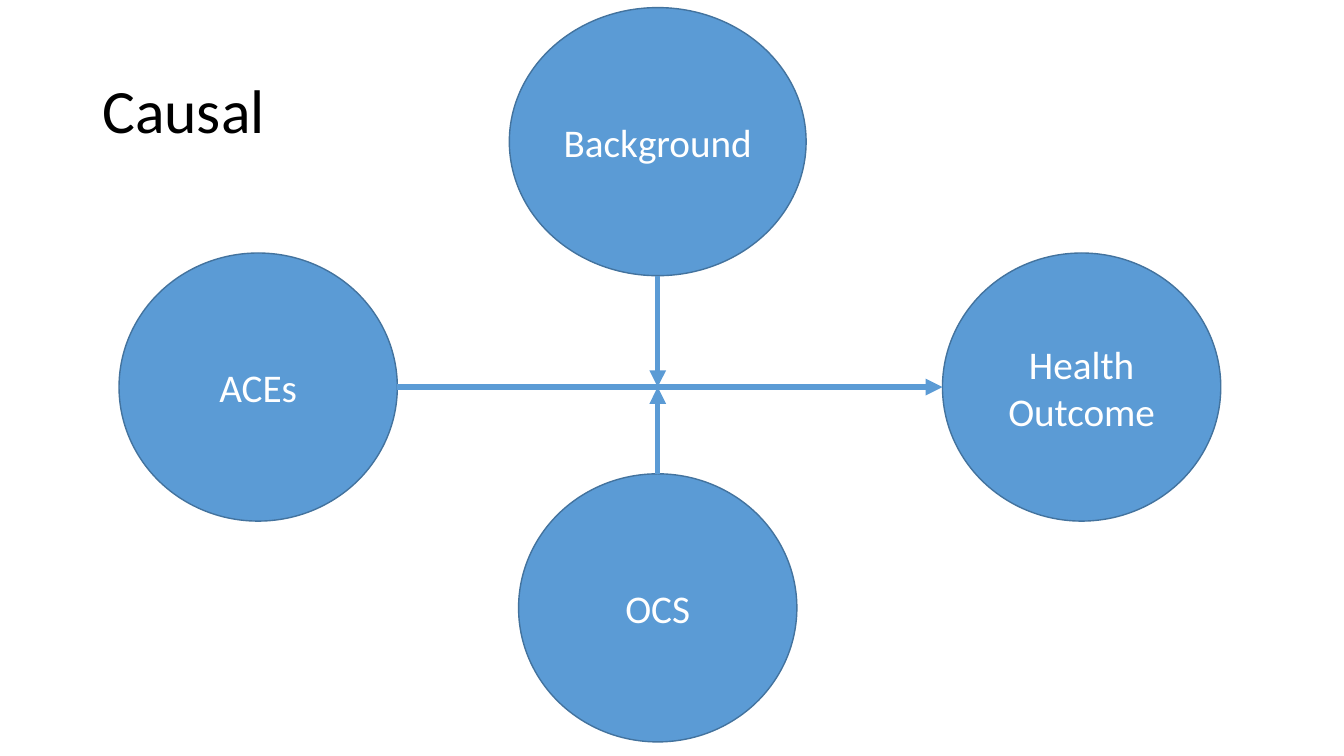
from dataclasses import dataclass

from lxml import etree
from pptx import Presentation
from pptx.dml.color import RGBColor
from pptx.enum.shapes import MSO_CONNECTOR, MSO_SHAPE
from pptx.enum.text import MSO_ANCHOR, PP_ALIGN
from pptx.oxml.ns import qn
from pptx.util import Pt

ELLIPSE = MSO_SHAPE.OVAL
STRAIGHT = MSO_CONNECTOR.STRAIGHT
MIDDLE = MSO_ANCHOR.MIDDLE
LEFT, CENTER = PP_ALIGN.LEFT, PP_ALIGN.CENTER


@dataclass(frozen=True)
class Theme:
    """Colours, font and sizes of the slide."""
    blue: RGBColor = RGBColor(0x5B, 0x9B, 0xD5)
    outline: RGBColor = RGBColor(0x43, 0x73, 0x9E)
    black: RGBColor = RGBColor(0, 0, 0)
    white: RGBColor = RGBColor(255, 255, 255)
    font: str = "Calibri"
    title_size: int = 44
    node_size: int = 28
    outline_width: int = 1
    arrow_width: int = 4


THEME = Theme()
AXIS_X, AXIS_Y = 469.8, 276.5
NODE_WIDTH, NODE_HEIGHT = 198.8, 191.5
WIDE_NODE_WIDTH = 212
ACES_X, OUTCOME_X = 184.4, 772.6
BACKGROUND_Y, OCS_Y = 101.2, 434.2


def write_text(box, text, *, size, color, align, line_spacing=1.0):
    """Fill a shape with one vertically centred, formatted paragraph."""
    frame = box.text_frame
    frame.word_wrap = True
    frame.vertical_anchor = MIDDLE
    para = frame.paragraphs[0]
    para.alignment = align
    para.line_spacing = line_spacing
    span = para.add_run()
    span.text = text
    span.font.name = THEME.font
    span.font.size = Pt(size)
    span.font.color.rgb = color


def add_title(page, text):
    """Add the slide heading."""
    box = page.shapes.add_textbox(Pt(66), Pt(28.75), Pt(828), Pt(104.4))
    write_text(box, text, size=THEME.title_size, color=THEME.black,
               align=LEFT, line_spacing=0.9)


def add_node(page, text, center_x, center_y, width=NODE_WIDTH):
    """Add a labelled ellipse around a centre point."""
    node = page.shapes.add_shape(
        ELLIPSE, Pt(center_x - width / 2), Pt(center_y - NODE_HEIGHT / 2),
        Pt(width), Pt(NODE_HEIGHT))
    node.shadow.inherit = False
    node.fill.solid()
    node.fill.fore_color.rgb = THEME.blue
    node.line.color.rgb = THEME.outline
    node.line.width = Pt(THEME.outline_width)
    write_text(node, text, size=THEME.node_size, color=THEME.white, align=CENTER)


def add_arrow(page, start, end):
    """Add a straight arrow with a triangular head at its end."""
    arrow = page.shapes.add_connector(
        STRAIGHT, *(Pt(length) for length in (*start, *end)))
    arrow.line.color.rgb = THEME.blue
    arrow.line.width = Pt(THEME.arrow_width)
    etree.SubElement(arrow.line._get_or_add_ln(), qn("a:tailEnd"), type="triangle")
    etree.SubElement(arrow._element.spPr, qn("a:effectLst"))


def main():
    """Build the causal diagram and save it."""
    deck = Presentation()
    deck.slide_width, deck.slide_height = Pt(960), Pt(540)
    page = deck.slides.add_slide(deck.slide_layouts[6])

    add_title(page, "Causal")
    add_node(page, "Health Outcome", OUTCOME_X, AXIS_Y)
    add_node(page, "Background", AXIS_X, BACKGROUND_Y, WIDE_NODE_WIDTH)
    add_node(page, "ACEs", ACES_X, AXIS_Y)
    add_node(page, "OCS", AXIS_X, OCS_Y)

    crossing = (AXIS_X, AXIS_Y)
    add_arrow(page, (AXIS_X, BACKGROUND_Y + NODE_HEIGHT / 2), crossing)
    add_arrow(page, (ACES_X + NODE_WIDTH / 2, AXIS_Y),
              (OUTCOME_X - NODE_WIDTH / 2, AXIS_Y))
    add_arrow(page, (AXIS_X, OCS_Y - NODE_HEIGHT / 2), crossing)

    deck.save("out.pptx")


main()
